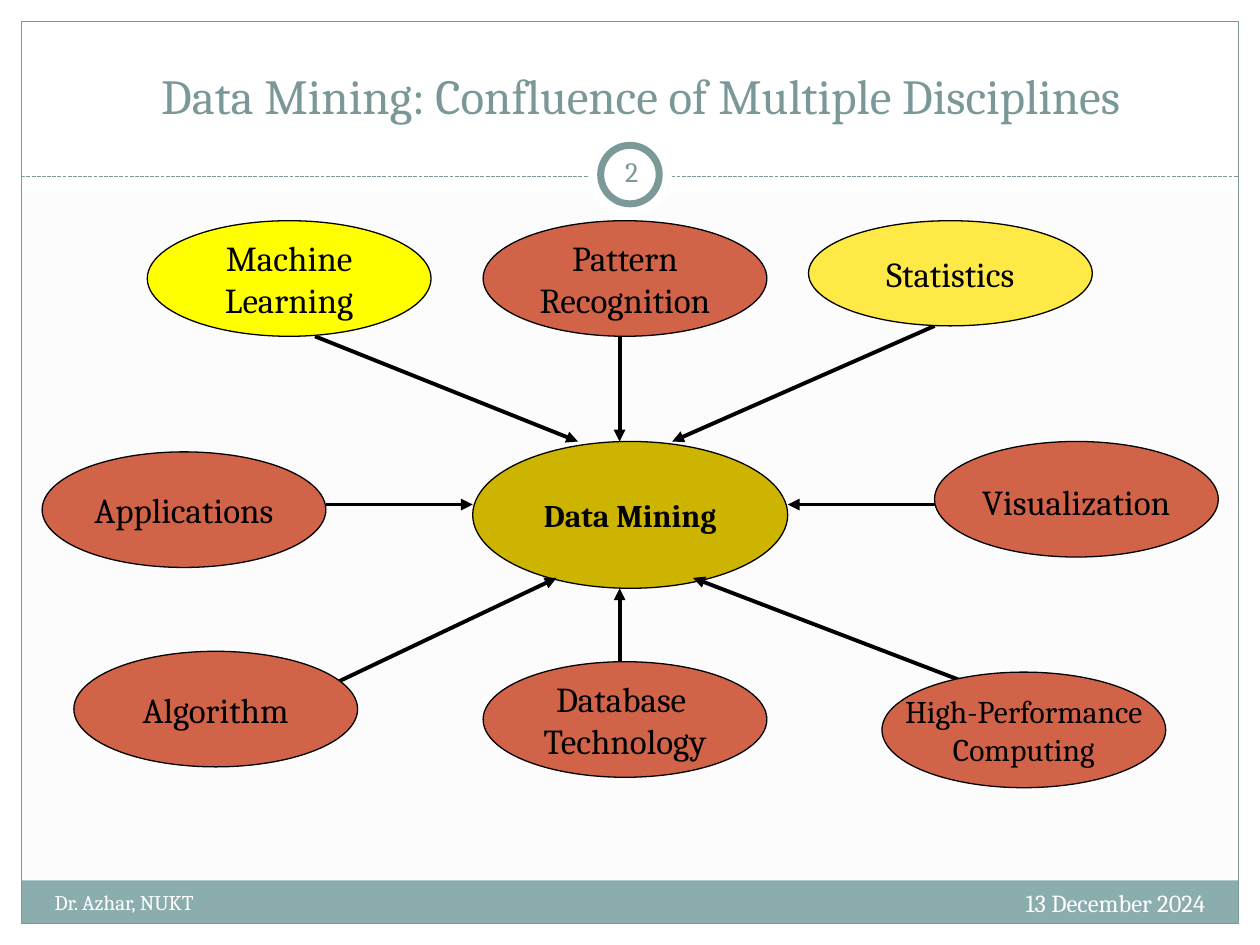
from lxml.etree import SubElement
from pptx import Presentation
from pptx.dml.color import RGBColor
from pptx.enum.dml import MSO_LINE
from pptx.enum.shapes import MSO_CONNECTOR, MSO_SHAPE
from pptx.enum.text import MSO_ANCHOR, PP_ALIGN
from pptx.oxml.ns import qn
from pptx.util import Cm, Pt

FONT = "Cambria"
BLACK = RGBColor(0x00, 0x00, 0x00)
WHITE = RGBColor(0xFF, 0xFF, 0xFF)
PAPER = RGBColor(0xFC, 0xFC, 0xFC)
TEAL = RGBColor(0x7C, 0x99, 0x9A)
TITLE_TEAL = RGBColor(0x7B, 0x98, 0x99)
FOOTER_TEAL = RGBColor(0x8C, 0xAD, 0xAE)
RUST = RGBColor(0xD1, 0x63, 0x49)
YELLOW = RGBColor(0xFF, 0xFF, 0x00)
PALE_YELLOW = RGBColor(0xFF, 0xE9, 0x47)
OLIVE = RGBColor(0xCC, 0xB4, 0x00)

WIDTH, HEIGHT, MARGIN = 25.4, 19.05, 0.43
OVAL_WIDTH, OVAL_HEIGHT = 5.72, 2.33

# Oval: text, left, top, format; arrow: start, end (cm within the diagram)
DISCIPLINES = [
    ("Machine\nLearning", 2.12, 0, {"fill": YELLOW}, (5.5, 2.33), (10.8, 4.45)),
    ("Statistics", 15.45, 0, {"fill": PALE_YELLOW, "height": 2.12},
     (17.99, 2.12), (12.7, 4.45)),
    ("Applications", 0, 4.66, {}, (5.72, 5.72), (8.68, 5.72)),
    ("Algorithm", 0.64, 8.68, {}, (5.93, 9.31), (10.37, 7.2)),
    ("Pattern\nRecognition", 8.89, 0, {}, (11.64, 2.33), (11.64, 4.45)),
    ("High-Performance\nComputing", 16.93, 9.1, {"size": 18},
     (18.63, 9.31), (13.12, 7.2)),
    ("Visualization", 17.99, 4.45, {"line_spacing": 1.1, "space_before": 4},
     (17.99, 5.72), (15.03, 5.72)),
    ("Database \nTechnology", 8.89, 8.89, {}, (11.64, 9.74), (11.64, 7.41)),
]


def write_text(shape, text, size=20, color=BLACK, bold=False,
               align=PP_ALIGN.CENTER, anchor=MSO_ANCHOR.MIDDLE, wrap=True,
               line_spacing=None, space_before=None):
    frame = shape.text_frame
    frame.text = text
    frame.word_wrap = wrap
    frame.vertical_anchor = anchor
    for paragraph in frame.paragraphs:
        paragraph.alignment = align
        if line_spacing:
            paragraph.line_spacing = line_spacing
        if space_before:
            paragraph.space_before = Pt(space_before)
        for run in paragraph.runs:
            run.font.name = FONT
            run.font.size = Pt(size)
            run.font.bold = bold
            run.font.color.rgb = color


def add_preset(slide, kind, left, top, width, height, fill=None, line=None,
               line_width=0.75):
    shape = slide.shapes.add_shape(kind, Cm(left), Cm(top), Cm(width), Cm(height))
    shape.shadow.inherit = False
    if fill is None:
        shape.fill.background()
    else:
        shape.fill.solid()
        shape.fill.fore_color.rgb = fill
    if line is None:
        shape.line.fill.background()
    else:
        shape.line.color.rgb = line
        shape.line.width = Pt(line_width)
    return shape


def add_line(slide, start, end, color, width, dash=None, arrow=False):
    line = slide.shapes.add_connector(
        MSO_CONNECTOR.STRAIGHT, *(Cm(value) for value in (*start, *end)))
    line.line.color.rgb = color
    line.line.width = Pt(width)
    if dash:
        line.line.dash_style = dash
    if arrow:
        SubElement(line.line._get_or_add_ln(), qn("a:tailEnd"), type="triangle")
    SubElement(line.element.spPr, qn("a:effectLst"))


def add_text_box(slide, left, top, width, height, text, **text_format):
    box = slide.shapes.add_textbox(Cm(left), Cm(top), Cm(width), Cm(height))
    write_text(box, text, **text_format)
    return box


def add_frame(slide, left, top, width, height):
    # White bands around the paper, the upper one behind the title
    for band in [(left, top + height - MARGIN, width, MARGIN),
                 (left, top, width, 3.86),
                 (left, top, MARGIN, height),
                 (left + width - MARGIN, top, MARGIN, height)]:
        add_preset(slide, MSO_SHAPE.RECTANGLE, *band, fill=WHITE)
    # Footer bar, border and dashed rule
    inner_width = width - 2 * MARGIN
    add_preset(slide, MSO_SHAPE.RECTANGLE, left + MARGIN, top + 17.75,
               inner_width, 0.87, fill=FOOTER_TEAL)
    add_preset(slide, MSO_SHAPE.RECTANGLE, left + MARGIN, top + MARGIN,
               inner_width, height - 2 * MARGIN, line=TEAL)
    add_line(slide, (left + MARGIN, top + 3.56),
             (left + width - MARGIN, top + 3.56), TEAL, 0.75,
             dash=MSO_LINE.SQUARE_DOT)


def add_title(slide, left, top, width, height):
    title = slide.shapes.title
    title.left, title.top = Cm(left), Cm(top)
    title.width, title.height = Cm(width), Cm(height)
    write_text(title, "Data Mining: Confluence of Multiple Disciplines ",
               size=28, color=TITLE_TEAL)
    # Bring the title in front of the white band
    title.element.getparent().append(title.element)


def add_page_badge(slide, left, top, diameter):
    inset = 0.26
    ring = diameter - 2 * inset
    add_preset(slide, MSO_SHAPE.OVAL, left, top, diameter, diameter, fill=WHITE)
    add_preset(slide, MSO_SHAPE.OVAL, left + inset, top + inset, ring, ring,
               fill=WHITE, line=TEAL, line_width=4)
    number = add_text_box(slide, left + 0.25, top + 0.18, 1.27, 1.22, "2",
                          size=16, color=TEAL)
    frame = number.text_frame
    frame.margin_left = frame.margin_right = Cm(0.13)


def add_footer(slide, left, top, width, height):
    add_text_box(slide, left, top + 0.02, 9.95, height, "Dr. Azhar, NUKT",
                 size=12, color=WHITE, align=PP_ALIGN.LEFT, anchor=MSO_ANCHOR.TOP)
    date_width = 8.47
    add_text_box(slide, left + width - date_width, top, date_width, height,
                 "13 December 2024", size=14, color=WHITE,
                 align=PP_ALIGN.RIGHT, anchor=MSO_ANCHOR.TOP)


def add_oval(slide, left, top, text, fill=RUST, width=OVAL_WIDTH,
             height=OVAL_HEIGHT, **text_format):
    oval = add_preset(slide, MSO_SHAPE.OVAL, left, top, width, height,
                      fill=fill, line=BLACK)
    write_text(oval, text, wrap=False, **text_format)


def add_diagram(slide, left, top):
    # Centre
    add_oval(slide, left + 8.68, top + 4.45, "Data Mining", fill=OLIVE,
             width=6.35, height=2.96, size=18, bold=True)
    # Arrows, then the disciplines over their ends
    for *_, start, end in DISCIPLINES:
        add_line(slide, (left + start[0], top + start[1]),
                 (left + end[0], top + end[1]), BLACK, 2.25, arrow=True)
    for text, x, y, oval_format, *_ in DISCIPLINES:
        add_oval(slide, left + x, top + y, text, **oval_format)


def main():
    presentation = Presentation()
    presentation.slide_width, presentation.slide_height = Cm(WIDTH), Cm(HEIGHT)
    slide = presentation.slides.add_slide(presentation.slide_layouts[5])
    slide.background.fill.solid()
    slide.background.fill.fore_color.rgb = PAPER
    add_frame(slide, 0, 0, WIDTH, HEIGHT)
    add_page_badge(slide, 11.85, 2.67, 1.7)
    add_title(slide, 1.06, 0.85, 23.92, 2.12)
    add_footer(slide, 0.85, 17.78, 23.7, 1.02)
    add_diagram(slide, 0.85, 4.45)
    presentation.save("out.pptx")


if __name__ == "__main__":
    main()
